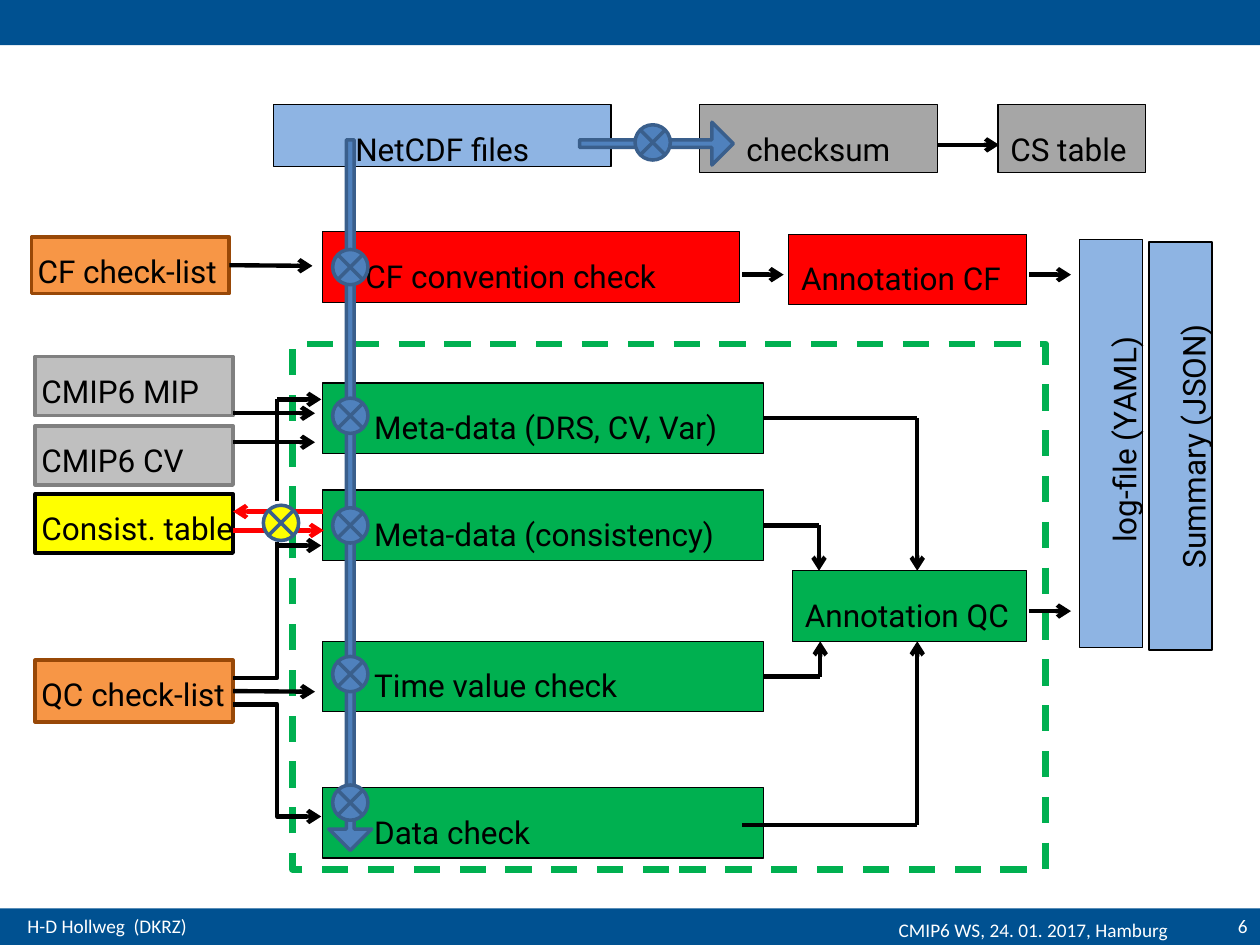
from dataclasses import dataclass

from lxml.etree import SubElement
from pptx import Presentation
from pptx.dml.color import RGBColor
from pptx.enum.dml import MSO_LINE_DASH_STYLE as Dash
from pptx.enum.shapes import MSO_CONNECTOR_TYPE as Link
from pptx.enum.shapes import MSO_SHAPE as Shape
from pptx.enum.text import MSO_ANCHOR as Anchor
from pptx.enum.text import PP_ALIGN as Align
from pptx.oxml.ns import qn
from pptx.util import Inches, Pt


@dataclass(frozen=True)
class Theme:
    band: str = "005191"
    white: str = "FFFFFF"
    black: str = "000000"
    blue: str = "8EB4E3"
    flow: str = "4F81BD"
    flow_edge: str = "3A5F8C"
    red: str = "FF0000"
    green: str = "00B050"
    gray: str = "A6A6A6"
    light_gray: str = "BFBFBF"
    gray_edge: str = "808080"
    orange: str = "F79646"
    orange_edge: str = "984807"
    yellow: str = "FFFF00"
    font: str = "Roboto"
    footer_font: str = "Calibri"
    size: int = 18
    footer_size: int = 11
    thin: float = 0.75
    edge: float = 2
    wire: float = 2.5
    frame: float = 3.75


THEME = Theme()


@dataclass(frozen=True)
class Box:
    left: float
    top: float
    width: float
    height: float

    def inner(self, left, top, width, height):
        return Box(self.left + left, self.top + top, width, height)

    def inches(self):
        return [Inches(v) for v in (self.left, self.top, self.width, self.height)]


def color(value):
    return RGBColor.from_string(value)


def add_shape(page, box, fill, edge=None, width=THEME.thin, kind=Shape.RECTANGLE):
    shape = page.shapes.add_shape(kind, *box.inches())
    shape.shadow.inherit = False
    if fill:
        shape.fill.solid()
        shape.fill.fore_color.rgb = color(fill)
    else:
        shape.fill.background()
    if edge:
        shape.line.color.rgb = color(edge)
        shape.line.width = Pt(width)
    else:
        shape.line.fill.background()
    return shape


def style(para, text, align, font, size, ink):
    para.text = text
    para.alignment = align
    para.font.name = font
    para.font.size = Pt(size)
    para.font.color.rgb = color(ink)


def write(shape, text, align=Align.LEFT, indent=0.1):
    frame = shape.text_frame
    frame.word_wrap = True
    frame.vertical_anchor = Anchor.TOP
    frame.margin_left = Inches(indent)
    para = frame.paragraphs[0]
    para.line_spacing = 1.5
    style(para, text, align, THEME.font, THEME.size, THEME.black)


def add_step(page, box, text, fill, align=Align.LEFT, indent=0.1):
    step = add_shape(page, box, fill, THEME.black)
    write(step, text, align, indent)
    return step


def add_wire(page, box, start, end, arrow=True, ink=THEME.black,
             kind=Link.STRAIGHT, source=None):
    points = [Inches(v) for x, y in (start, end) for v in (box.left + x, box.top + y)]
    wire = page.shapes.add_connector(kind, *points)
    if source:
        wire.begin_connect(source, 3)
    wire.line.color.rgb = color(ink)
    wire.line.width = Pt(THEME.wire)
    properties = wire._element.spPr
    if arrow:
        SubElement(properties.find(qn("a:ln")), qn("a:tailEnd"), type="arrow")
    SubElement(properties, qn("a:effectLst"))


def add_junction(page, box, left, top, fill=THEME.flow):
    add_shape(page, box.inner(left, top, 0.28, 0.28), fill, THEME.flow_edge,
              THEME.edge, Shape.FLOWCHART_SUMMING_JUNCTION)


def add_flow_arrow(page, box, rotation=0):
    arrow = add_shape(page, box, THEME.flow, THEME.flow_edge, THEME.edge, Shape.DOWN_ARROW)
    arrow.adjustments[0] = 0.18
    arrow.adjustments[1] = 0.5
    arrow.rotation = rotation


def add_bands(page, box):
    add_shape(page, box.inner(0, 0, box.width, 0.36), THEME.band)
    add_shape(page, box.inner(0, 7.21, box.width, 0.29), THEME.band)
    for left, top, width, text, align in (
        (0.12, 7.21, 2.6, "H-D Hollweg  (DKRZ)", Align.LEFT),
        (3.58, 7.24, 5.79, "CMIP6 WS, 24. 01. 2017, Hamburg", Align.RIGHT),
        (9.17, 7.21, 0.83, "6", Align.RIGHT),
    ):
        label = page.shapes.add_textbox(*box.inner(left, top, width, 0.29).inches())
        label.text_frame.word_wrap = True
        style(label.text_frame.paragraphs[0], text, align,
              THEME.footer_font, THEME.footer_size, THEME.white)


def add_file_row(page, box):
    add_step(page, box.inner(0, 0, 2.68, 0.49), "NetCDF files", THEME.blue, Align.CENTER)
    add_step(page, box.inner(3.38, 0, 1.89, 0.54), "checksum", THEME.gray, Align.CENTER)
    add_step(page, box.inner(5.75, 0, 1.17, 0.54), "CS table", THEME.gray)
    add_wire(page, box, (5.27, 0.32), (5.76, 0.32))
    add_flow_arrow(page, box.inner(2.87, -0.3, 0.34, 1.22), 270)
    add_junction(page, box, 2.87, 0.16)


def add_convention_row(page, box):
    add_step(page, box.inner(0, 0, 3.31, 0.56), "CF convention check", THEME.red, indent=0.34)
    add_step(page, box.inner(3.7, 0.02, 1.89, 0.56), "Annotation CF", THEME.red)
    for left in (3.33, 5.61):
        add_wire(page, box, (left, 0.34), (left + 0.33, 0.34))


def add_quality_panel(page, box):
    frame = add_shape(page, box, None, THEME.green, THEME.frame)
    frame.line.dash_style = Dash.DASH
    add_step(page, box.inner(3.97, 1.8, 1.86, 0.56), "Annotation QC", THEME.green)
    for text, top, turn, entry in (
        ("Meta-data (DRS, CV, Var)", 0.31, 4.96, 1.8),
        ("Meta-data (consistency)", 1.16, 4.18, 1.8),
        ("Time value check", 2.36, 4.19, 2.36),
    ):
        step = add_step(page, box.inner(0.24, top, 3.5, 0.56), text, THEME.green, indent=0.41)
        middle = top + 0.28
        add_wire(page, box, (3.74, middle), (turn, middle), False, source=step)
        add_wire(page, box, (turn, middle), (turn, entry))
    add_step(page, box.inner(0.24, 3.52, 3.5, 0.56), "Data check", THEME.green, indent=0.41)
    add_wire(page, box, (3.57, 3.82), (4.96, 3.82), False)
    add_wire(page, box, (4.96, 3.82), (4.96, 2.36))
    add_wire(page, box, (5.85, 2.12), (6.18, 2.12))


def add_reports(page, box):
    for left, top, text, indent in ((0, 0, "log-file (YAML)", 0.16),
                                    (0.55, 0.02, "Summary (JSON)", 0.1)):
        length, depth = box.height, 0.5
        turned = box.inner(left + (depth - length) / 2, top + (length - depth) / 2, length, depth)
        add_step(page, turned, text, THEME.blue, Align.CENTER, indent).rotation = 270


def add_inputs(page, box):
    cards = {}
    for text, left, top, height, fill, edge in (
        ("CF check-list", -0.03, 0, 0.45, THEME.orange, THEME.orange_edge),
        ("CMIP6 MIP", 0, 0.95, 0.47, THEME.light_gray, THEME.gray_edge),
        ("CMIP6 CV", 0, 1.5, 0.47, THEME.light_gray, THEME.gray_edge),
        ("Consist. table", 0, 2.04, 0.47, THEME.yellow, THEME.black),
        ("QC check-list", 0, 3.36, 0.49, THEME.orange, THEME.orange_edge),
    ):
        card = box.inner(left, top, box.width, height)
        cards[text] = add_shape(page, card, fill, edge, THEME.edge)
        label = page.shapes.add_textbox(*card.inner(-0.05, -0.08, 1.9, 0.49).inches())
        write(label, text)
    add_wire(page, box, (1.54, 0.23), (2.2, 0.23), source=cards["CF check-list"])
    add_wire(page, box, (1.57, 3.61), (2.22, 3.61), source=cards["QC check-list"])
    for top in (1.4, 1.63):
        add_wire(page, box, (1.57, top), (2.22, top))
    add_wire(page, box, (2.28, 2.18), (1.57, 2.18), ink=THEME.red)
    add_wire(page, box, (1.57, 2.33), (2.29, 2.33), ink=THEME.red)
    for start, end in ((3.5, 2.45), (3.71, 4.6)):
        add_wire(page, box, (1.57, start), (2.27, end), kind=Link.ELBOW)
    add_wire(page, box, (1.92, 2.54), (1.92, 2.42), False)
    add_wire(page, box, (1.92, 2.1), (1.92, 1.29), False)
    add_wire(page, box, (1.92, 1.29), (2.27, 1.29))
    add_junction(page, box, 1.81, 2.13, THEME.yellow)


def add_spine(page, box):
    add_flow_arrow(page, box)
    for top in (0.87, 2.05, 2.92, 4.1, 5.12):
        add_junction(page, box, 0.03, top)


def main():
    deck = Presentation()
    deck.slide_width, deck.slide_height = Inches(10), Inches(7.5)
    page = deck.slides.add_slide(deck.slide_layouts[6])
    add_bands(page, Box(0, 0, 10, 7.5))
    add_file_row(page, Box(2.17, 0.83, 6.92, 0.54))
    add_convention_row(page, Box(2.56, 1.84, 5.94, 0.58))
    add_quality_panel(page, Box(2.32, 2.73, 5.98, 4.17))
    add_reports(page, Box(8.57, 1.9, 1.05, 3.24))
    add_inputs(page, Box(0.28, 1.88, 1.57, 3.85))
    add_spine(page, Box(2.61, 1.11, 0.34, 5.64))
    deck.save("out.pptx")


if __name__ == "__main__":
    main()
